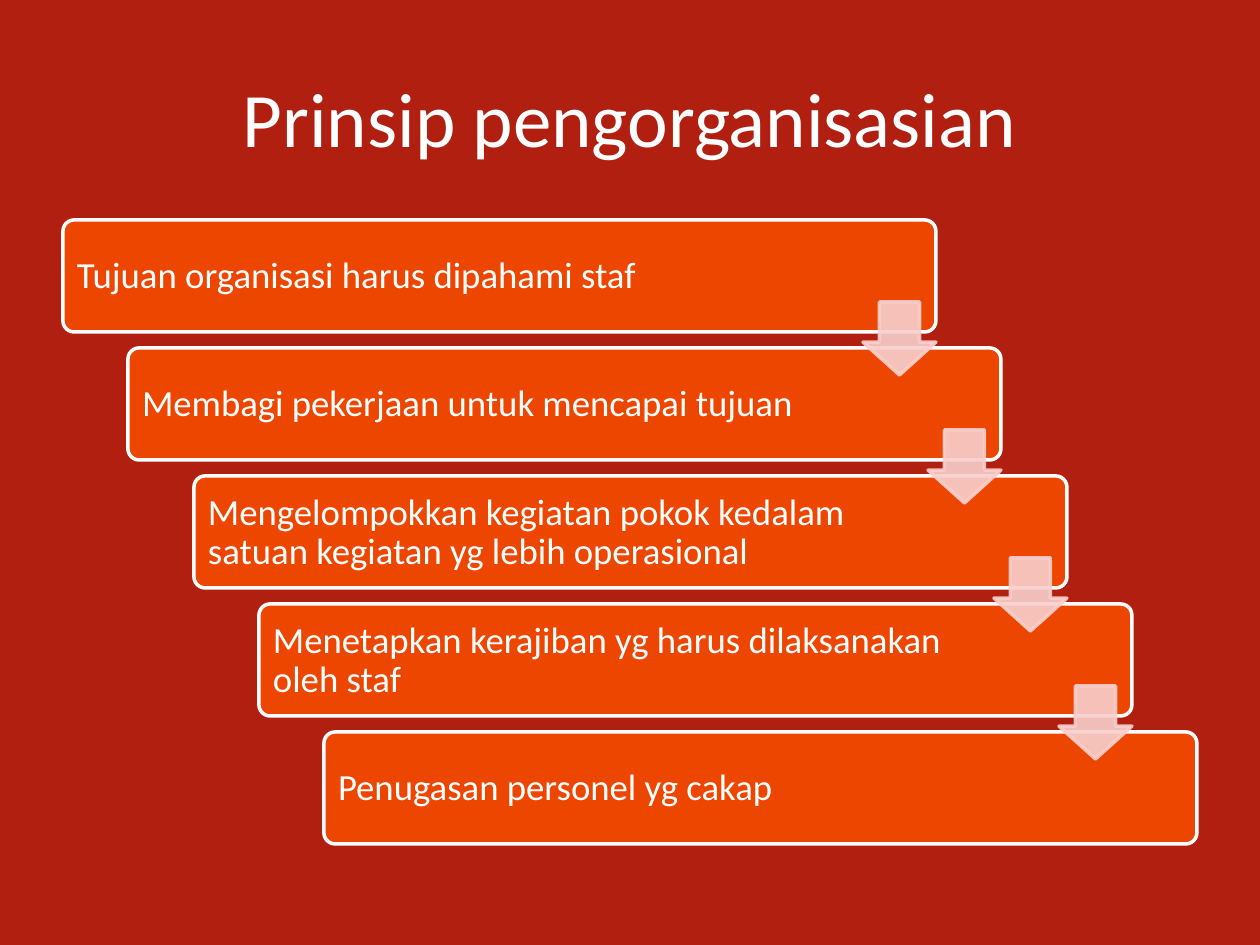
from pptx import Presentation
from pptx.dml.color import RGBColor
from pptx.enum.shapes import MSO_SHAPE as SHAPE
from pptx.enum.text import MSO_ANCHOR as ANCHOR, PP_ALIGN as ALIGN
from pptx.oxml.ns import qn
from pptx.util import Pt
from lxml import etree

PX = 914400 // 126


def add_text(s, text, box, size, align=ALIGN.LEFT, inset=11, spacing=1.0):
    tf = s.shapes.add_textbox(*[v * PX for v in box]).text_frame
    tf.word_wrap = True
    tf.vertical_anchor = ANCHOR.MIDDLE
    tf.margin_left = tf.margin_right = tf.margin_top = tf.margin_bottom = inset * PX
    p = tf.paragraphs[0]
    p.alignment = align
    p.line_spacing = spacing
    r = p.add_run()
    r.text = text
    r.font.size = Pt(size)
    r.font.name = "Calibri"
    r.font.color.rgb = RGBColor.from_string("FFFFFF")


def add_block(s, kind, box, fill, line, adjust, alpha=100):
    sp = s.shapes.add_shape(kind, *[v * PX for v in box])
    sp.shadow.inherit = False
    for i, value in enumerate(adjust):
        sp.adjustments[i] = value
    sp.fill.solid()
    sp.fill.fore_color.rgb = RGBColor.from_string(fill)
    sp.line.color.rgb = RGBColor.from_string(line)
    sp.line.width = Pt(2)
    if alpha < 100:
        for clr in sp._element.spPr.iter(qn("a:srgbClr")):
            etree.SubElement(clr, qn("a:alpha")).set("val", str(alpha * 1000))


prs = Presentation()
prs.slide_width, prs.slide_height = 1260 * PX, 945 * PX
s = prs.slides.add_slide(prs.slide_layouts[6])
s.background.fill.solid()
s.background.fill.fore_color.rgb = RGBColor.from_string("B01F0F")

add_text(s, "Prinsip pengorganisasian", (63, 38, 1134, 157), 44, align=ALIGN.CENTER)

steps = [
    "Tujuan organisasi harus dipahami staf",
    "Membagi pekerjaan untuk mencapai tujuan",
    "Mengelompokkan kegiatan pokok kedalam satuan kegiatan yg lebih operasional",
    "Menetapkan kerajiban yg harus dilaksanakan oleh staf",
    "Penugasan personel yg cakap",
]
places = [(round(63 + 65.25 * i), 220 + 128 * i) for i in range(len(steps))]

for text, (x, y) in zip(steps, places):
    add_block(s, SHAPE.ROUNDED_RECTANGLE, (x, y, 873, 112), "ED4600", "FFFFFF", [0.1])
    add_text(s, text, (x + 3, y + 4, 728, 106), 21, spacing=0.9)

for x, y in places[:-1]:
    add_block(s, SHAPE.DOWN_ARROW, (x + 800, y + 82, 73, 73), "F8CFCC", "F8CFCC",
              [0.55, 0.45], alpha=90)

prs.save("out.pptx")
